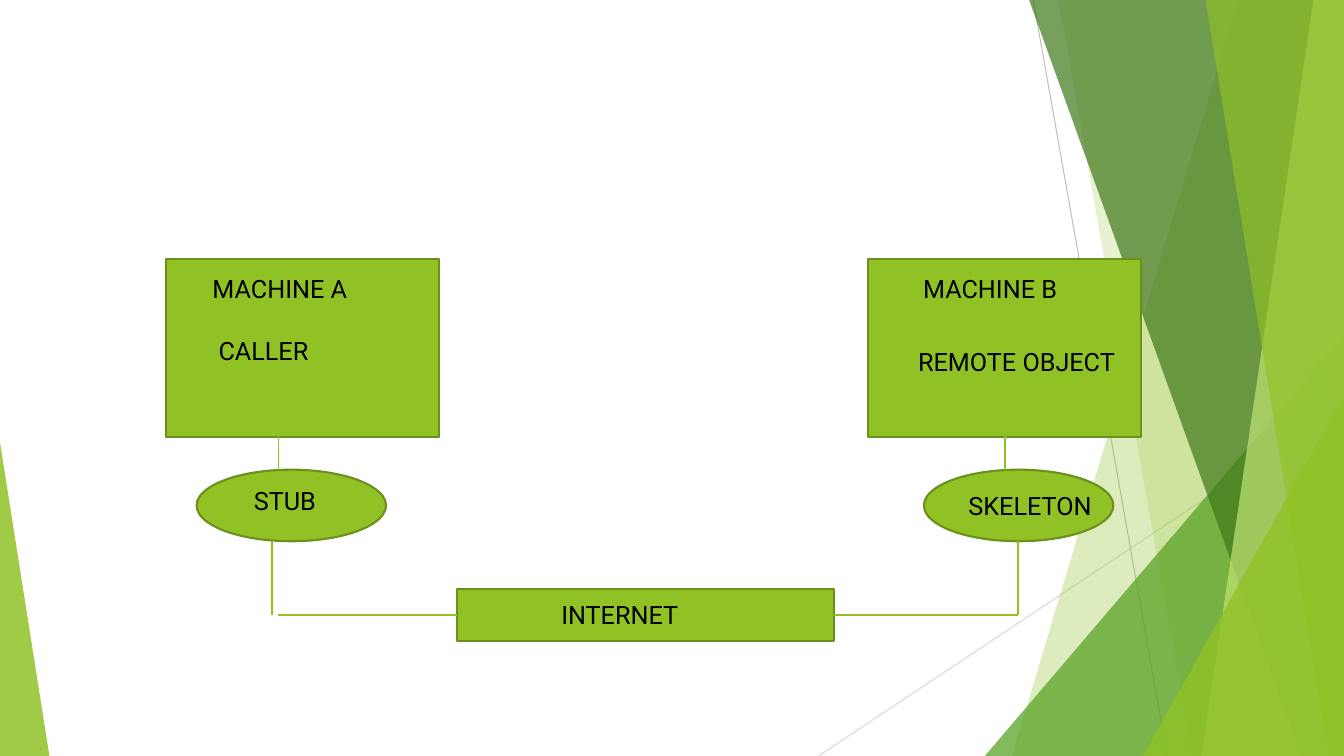
from lxml.etree import SubElement
from pptx import Presentation
from pptx.dml.color import RGBColor
from pptx.enum.shapes import MSO_CONNECTOR, MSO_SHAPE
from pptx.enum.text import MSO_AUTO_SIZE
from pptx.oxml.ns import qn
from pptx.util import Inches, Pt

COLS, ROWS = 133.33, 75  # grid cells of a tenth of an inch
LEFT, RIGHT = 1, 3  # connection sites of a rectangle


def color(value):
    return RGBColor.from_string(value)


def cell(n):
    return Inches(n / 10)


class Deck:
    font, size, ink = "Roboto", 18, "000000"
    green, edge = "90C226", "6B901C"

    def __init__(self):
        self.prs = Presentation()
        self.prs.slide_width, self.prs.slide_height = cell(COLS), cell(ROWS)
        self.s = self.prs.slides.add_slide(self.prs.slide_layouts[6])

    def paint(self, sp, fill, opacity=100):
        sp.shadow.inherit = False
        sp.fill.solid()
        sp.fill.fore_color.rgb = color(fill)
        sp.line.fill.background()
        if opacity < 100:
            rgb = sp.fill._xPr.find(qn("a:solidFill")).find(qn("a:srgbClr"))
            SubElement(rgb, qn("a:alpha")).set("val", str(opacity * 1000))

    def band(self, points, fill, opacity):
        corners = [(cell(x), cell(y)) for x, y in points]
        builder = self.s.shapes.build_freeform(*corners[0])
        builder.add_line_segments(corners[1:], close=True)
        self.paint(builder.convert_to_shape(), fill, opacity)

    def triangle(self, x, y, w, apex, fill, opacity):
        sp = self.s.shapes.add_shape(MSO_SHAPE.ISOSCELES_TRIANGLE,
                                     cell(x), cell(y), cell(w), cell(ROWS - y))
        sp.adjustments[0] = apex
        self.paint(sp, fill, opacity)

    def node(self, kind, x, y, w, h):
        sp = self.s.shapes.add_shape(kind, cell(x), cell(y), cell(w), cell(h))
        self.paint(sp, self.green)
        sp.line.color.rgb = color(self.edge)
        sp.line.width = Pt(1.5)
        return sp

    def label(self, text, x, y, w=18.7):
        tf = self.s.shapes.add_textbox(cell(x), cell(y), cell(w), cell(4)).text_frame
        tf.word_wrap = True
        tf.auto_size = MSO_AUTO_SIZE.SHAPE_TO_FIT_TEXT
        tf.text = text
        font = tf.paragraphs[0].runs[0].font
        font.name, font.size = self.font, Pt(self.size)
        font.color.rgb = color(self.ink)

    def line(self, x1, y1, x2, y2, stroke=green, width=1):
        cx = self.s.shapes.add_connector(MSO_CONNECTOR.STRAIGHT,
                                         cell(x1), cell(y1), cell(x2), cell(y2))
        cx.line.color.rgb = color(stroke)
        cx.line.width = Pt(width)
        SubElement(cx._element.spPr, qn("a:effectLst"))
        return cx


def main():
    d = Deck()

    # Background facets
    d.line(102.5, 0, 115.8, ROWS, "BFBFBF", 0.75)
    d.line(COLS, 40.3, 81.2, ROWS, "D9D9D9", 0.75)

    def facet(top, bottom, fill, opacity):
        d.band([(top, 0), (COLS, 0), (COLS, ROWS), (bottom, ROWS)], fill, opacity)

    facet(122.8, 100.4, d.green, 30)
    facet(105, 118.3, d.green, 20)
    d.triangle(97.7, 33.3, 35.6, 1, "54A021", 72)
    facet(102.1, 129.1, "3F7819", 70)
    facet(130.3, 119.2, "C0E474", 70)
    facet(119.6, 131.8, d.green, 65)
    d.triangle(113.4, 39.3, 19.9, 1, d.green, 80)
    d.triangle(0, 43.9, 4.9, 0, d.green, 85)

    # Machines, network and proxies
    for x in (16.5, 86.1):
        d.node(MSO_SHAPE.RECTANGLE, x, 25.7, 27.1, 17.65)
    internet = d.node(MSO_SHAPE.RECTANGLE, 45.35, 58.4, 37.4, 5.2)
    for x in (19.5, 91.65):
        d.node(MSO_SHAPE.OVAL, x, 46.6, 18.8, 7.1)

    # Labels
    d.label("MACHINE A", 20.1, 26.6)
    d.label("MACHINE B", 90.6, 26.6)
    d.label("CALLER", 20.7, 32.8)
    d.label("REMOTE OBJECT", 90.1, 33.9, 21.9)
    d.label("STUB", 24.2, 47.7, 10.5)
    d.label("SKELETON", 95.1, 48.2)
    d.label("INTERNET", 54.7, 59)

    # Links from machine to proxy, and from proxy to network
    for x in (27.6, 99.7):
        d.line(x, 43.3, x, 46.6)
    for x in (27, 101):
        d.line(x, 53.7, x, 61)
    d.line(27.6, 61, 45.35, 61).end_connect(internet, LEFT)
    d.line(82.75, 61, 101, 61).begin_connect(internet, RIGHT)

    d.prs.save("out.pptx")


if __name__ == "__main__":
    main()
